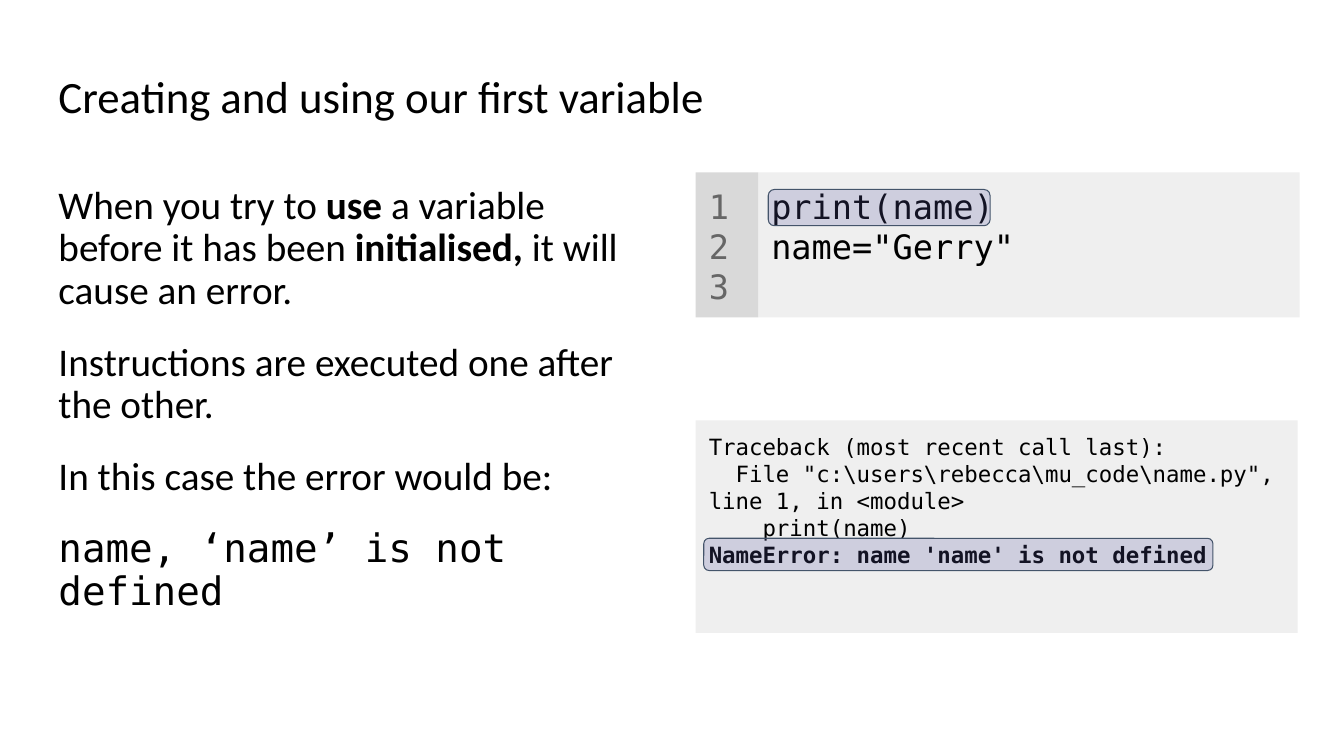
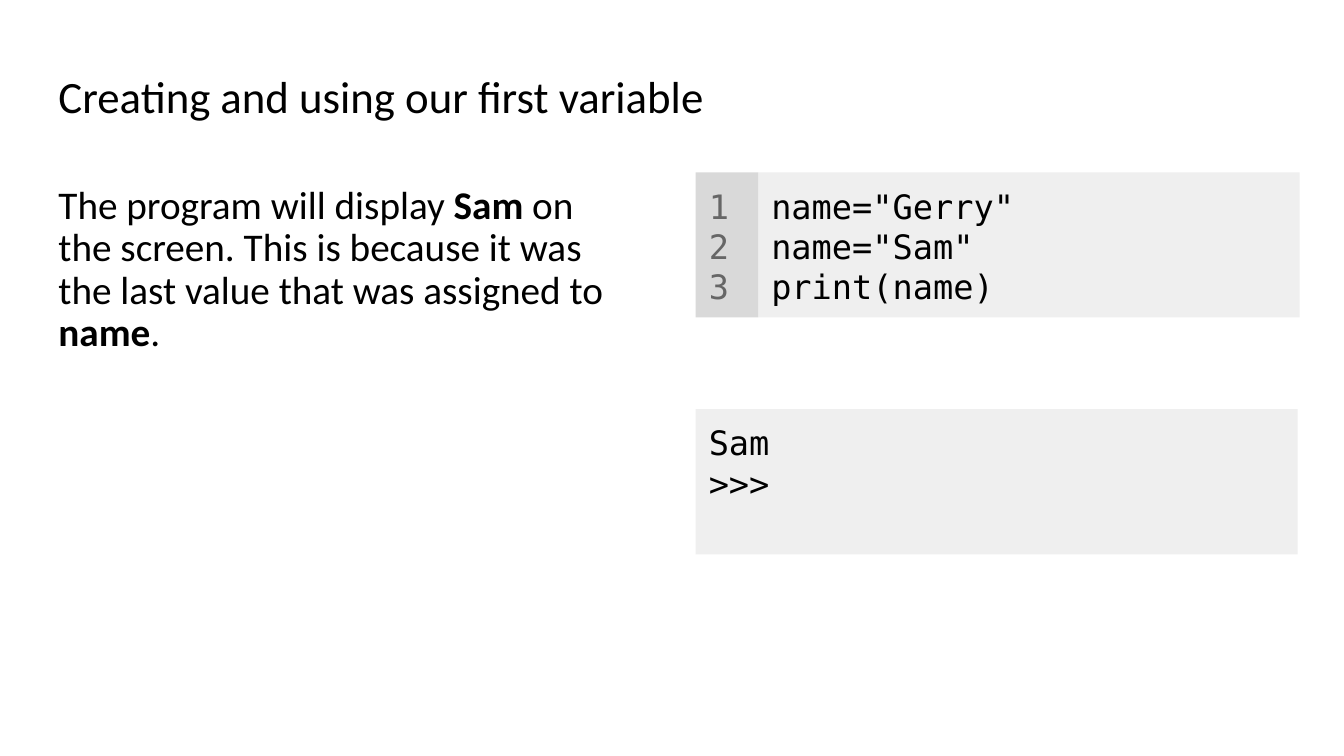
"""Build two slides that explain how a first variable is created and used."""
from dataclasses import dataclass

from lxml import etree
from pptx import Presentation
from pptx.dml.color import RGBColor
from pptx.enum.shapes import MSO_SHAPE
from pptx.enum.text import MSO_ANCHOR, MSO_AUTO_SIZE, PP_ALIGN
from pptx.oxml.ns import qn
from pptx.util import Inches, Pt

RECTANGLE = MSO_SHAPE.RECTANGLE
ROUNDED = MSO_SHAPE.ROUNDED_RECTANGLE
TOP, MIDDLE = MSO_ANCHOR.TOP, MSO_ANCHOR.MIDDLE
LEFT = PP_ALIGN.LEFT
NO_FIT = MSO_AUTO_SIZE.NONE


@dataclass(frozen=True)
class Theme:
    """Colours, fonts, type sizes and spacing shared by the slides."""

    ink: str = "000000"
    panel: str = "EFEFEF"
    gutter: str = "D9D9D9"
    number: str = "666666"
    marker: str = "5B5BA5"
    marker_line: str = "44546A"
    marker_opacity: int = 22
    prose: str = "Calibri"
    mono: str = "DejaVu Sans Mono"
    title_size: int = 32
    body_size: int = 28
    code_size: int = 24
    trace_size: int = 16
    inset: float = 0.13
    leading: float = 0.9
    gap: float = 21.3


THEME = Theme()
SLIDE_WIDTH, SLIDE_HEIGHT = 13.33, 7.5
MARGIN, CONTENT_TOP = 0.45, 1.71
COLUMN_WIDTH, CODE_LEFT = 5.97, 6.9
GUTTER_WIDTH, CODE_HEIGHT = 0.62, 1.44
TITLE_FRAME = (MARGIN, 0.47, SLIDE_WIDTH - 2 * MARGIN, 1.02)
BODY_FRAME = (MARGIN, CONTENT_TOP, COLUMN_WIDTH, 5.34)
GUTTER_FRAME = (CODE_LEFT, CONTENT_TOP, GUTTER_WIDTH, CODE_HEIGHT)
EDITOR_FRAME = (CODE_LEFT + GUTTER_WIDTH, CONTENT_TOP, 5.37, CODE_HEIGHT)
TITLE = "Creating and using our first variable"


def apply(target, **values):
    """Set every given value as an attribute of the target."""
    for name, value in values.items():
        setattr(target, name, value)


def place(box, frame):
    """Move a box to a left, top, width and height in inches."""
    sides = ("left", "top", "width", "height")
    apply(box, **{side: Inches(length) for side, length in zip(sides, frame)})


def prepare_frame(box, anchor=TOP):
    """Give a box the shared insets, wrapping and anchor."""
    insets = {f"margin_{side}": Inches(THEME.inset)
              for side in ("left", "top", "right", "bottom")}
    apply(box.text_frame, word_wrap=True, auto_size=NO_FIT,
          vertical_anchor=anchor, **insets)


def add_spans(para, text, font, size, color):
    """Fill a paragraph, making the parts between double asterisks bold."""
    for position, part in enumerate(text.split("**")):
        if part:
            span = para.add_run()
            span.text = part
            apply(span.font, name=font, size=Pt(size), bold=position % 2 == 1)
            span.font.color.rgb = RGBColor.from_string(color)


def write(box, lines, size, font=THEME.mono, color=THEME.ink, **spacing):
    """Write one left-aligned paragraph per line and return the paragraphs."""
    frame = box.text_frame
    for position, line in enumerate(lines):
        para = frame.add_paragraph() if position else frame.paragraphs[0]
        apply(para, alignment=LEFT, **spacing)
        add_spans(para, line, font, size, color)
    return frame.paragraphs


def fill_title(slide):
    """Place and write the shared title."""
    box = slide.shapes.title
    place(box, TITLE_FRAME)
    prepare_frame(box, MIDDLE)
    write(box, [TITLE], THEME.title_size, THEME.prose,
          line_spacing=THEME.leading, space_before=Pt(0))


def fill_body(slide, lines):
    """Place the body and write its paragraphs without bullets."""
    box = slide.placeholders[1]
    place(box, BODY_FRAME)
    prepare_frame(box)
    paras = write(box, lines, THEME.body_size, THEME.prose,
                  line_spacing=THEME.leading)
    for position, para in enumerate(paras):
        properties = para._p.get_or_add_pPr()
        properties.set("marL", "0")
        properties.set("indent", "0")
        etree.SubElement(properties, qn("a:buNone"))
        para.space_before = Pt(THEME.gap if position else 0)
    paras[-1].space_after = Pt(THEME.gap)
    return paras


def add_box(slide, kind, frame, fill):
    """Add a flat, filled shape without an outline."""
    box = slide.shapes.add_shape(kind, *map(Inches, frame))
    box.shadow.inherit = False
    box.fill.solid()
    box.fill.fore_color.rgb = RGBColor.from_string(fill)
    box.line.fill.background()
    return box


def add_panel(slide, frame, lines, size=THEME.code_size,
              fill=THEME.panel, color=THEME.ink):
    """Add a rectangle that holds lines of code or output."""
    box = add_box(slide, RECTANGLE, frame, fill)
    prepare_frame(box)
    write(box, lines, size, color=color)


def add_editor(slide, lines):
    """Add a code panel with a gutter of line numbers."""
    add_panel(slide, EDITOR_FRAME, lines)
    add_panel(slide, GUTTER_FRAME, ["1", "2", "3"],
              fill=THEME.gutter, color=THEME.number)


def add_console(slide, top, height, lines, size=THEME.code_size):
    """Add a panel that shows what the program prints."""
    add_panel(slide, (CODE_LEFT, top, COLUMN_WIDTH, height), lines, size)


def add_marker(slide, frame):
    """Add a translucent rounded highlight over a line of code."""
    box = add_box(slide, ROUNDED, frame, THEME.marker)
    color = box.fill._xPr.find(".//" + qn("a:srgbClr"))
    etree.SubElement(color, qn("a:alpha"), val=str(THEME.marker_opacity * 1000))
    box.line.color.rgb = RGBColor.from_string(THEME.marker_line)
    box.line.width = Pt(0.75)


def add_lesson(deck, body, code):
    """Add a slide with a title, an explanation and a code editor."""
    slide = deck.slides.add_slide(deck.slide_layouts[1])
    fill_title(slide)
    paras = fill_body(slide, body)
    add_editor(slide, code)
    return slide, paras


def add_error_lesson(deck):
    """Add the slide on using a variable before it is initialised."""
    slide, paras = add_lesson(deck, [
        "When you try to **use **a variable before it has been "
        "**initialised, **it will cause an error.",
        "Instructions are executed one after the other.",
        "In this case the error would be:",
        "name, ‘name’ is not defined",
    ], ["print(name)", 'name="Gerry"'])
    paras[-1].runs[0].font.name = THEME.mono
    add_console(slide, 4.17, 2.11, [
        "Traceback (most recent call last):",
        r'  File "c:\users\rebecca\mu_code\name.py", line 1, in <module>',
        "    print(name)",
        "**NameError: name 'name' is not defined**",
    ], THEME.trace_size)
    for frame in ((7.62, 1.88, 2.2, 0.36), (6.98, 5.34, 5.05, 0.32)):
        add_marker(slide, frame)


def add_assignment_lesson(deck):
    """Add the slide on the last value assigned to a variable."""
    slide, _ = add_lesson(deck, [
        "The program will display **Sam** on the screen. This is because it "
        "was the last value that was assigned to **name**.",
    ], ['name="Gerry"', 'name="Sam"', "print(name)"])
    add_console(slide, 4.06, CODE_HEIGHT, ["Sam", ">>>"])


def main():
    """Build and save the deck."""
    deck = Presentation()
    apply(deck, slide_width=Inches(SLIDE_WIDTH),
          slide_height=Inches(SLIDE_HEIGHT))
    add_error_lesson(deck)
    add_assignment_lesson(deck)
    deck.save("out.pptx")


if __name__ == "__main__":
    main()
